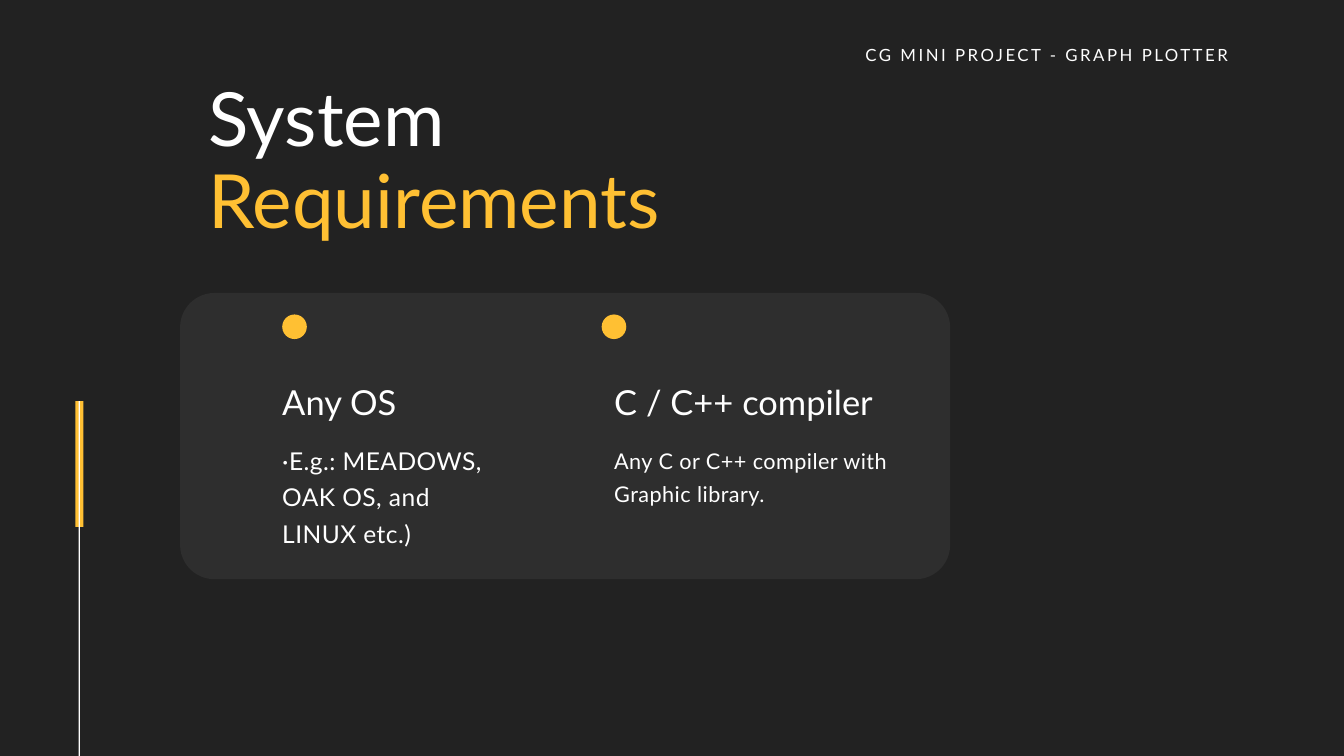
from pptx import Presentation
from pptx.dml.color import RGBColor
from pptx.enum.shapes import MSO_SHAPE
from pptx.enum.text import MSO_ANCHOR, MSO_AUTO_SIZE, PP_ALIGN
from pptx.oxml.xmlchemy import OxmlElement
from pptx.util import Inches, Pt

RECTANGLE, ROUNDED, OVAL = MSO_SHAPE.RECTANGLE, MSO_SHAPE.ROUNDED_RECTANGLE, MSO_SHAPE.OVAL
TOP, NO_FIT = MSO_ANCHOR.TOP, MSO_AUTO_SIZE.NONE
LEFT, RIGHT = PP_ALIGN.LEFT, PP_ALIGN.RIGHT

BACKGROUND = RGBColor(0x22, 0x22, 0x22)
PANEL = RGBColor(0x2E, 0x2E, 0x2E)
YELLOW = RGBColor(0xFF, 0xC0, 0x33)
WHITE = RGBColor(0xFF, 0xFF, 0xFF)

COLUMNS, ROWS = 100, 56.25
CELL = Inches(0.2)

presentation = Presentation()
presentation.slide_width = int(COLUMNS * CELL)
presentation.slide_height = int(ROWS * CELL)
slide = presentation.slides.add_slide(presentation.slide_layouts.get_by_name("Comparison"))
slide.background.fill.solid()
slide.background.fill.fore_color.rgb = BACKGROUND


def add_block(kind, box, color):
    shape = slide.shapes.add_shape(kind, *(int(cells * CELL) for cells in box))
    shape.shadow.inherit = False
    shape.fill.solid()
    shape.fill.fore_color.rgb = color
    shape.line.fill.background()
    return shape


def write_text(shape, box, runs, size, line_height, spacing=0, alignment=LEFT):
    slide.shapes._spTree.append(shape._element)
    for name, cells in zip(("left", "top", "width", "height"), box):
        setattr(shape, name, int(cells * CELL))
    frame_format = {"margin_left": 0, "margin_top": 0, "margin_right": 0, "margin_bottom": 0,
                    "word_wrap": True, "auto_size": NO_FIT, "vertical_anchor": TOP}
    for name, value in frame_format.items():
        setattr(shape.text_frame, name, value)
    paragraph = shape.text_frame.paragraphs[0]
    properties = paragraph._p.get_or_add_pPr()
    properties.set("marL", "0")
    properties.set("indent", "0")
    properties.append(OxmlElement("a:buNone"))
    paragraph_format = {"alignment": alignment, "line_spacing": Pt(line_height),
                        "space_before": Pt(0), "space_after": Pt(0)}
    for name, value in paragraph_format.items():
        setattr(paragraph, name, value)
    for text, color in runs:
        run = paragraph.add_run()
        run.text = text
        for name, value in {"name": "Lato", "size": Pt(size), "bold": False}.items():
            setattr(run.font, name, value)
        run.font.color.rgb = color
        run._r.get_or_add_rPr().set("spc", str(int(spacing * 100)))


RAIL_TOP = 29.85
add_block(RECTANGLE, (5.6, RAIL_TOP, 0.6, 9.35), YELLOW)
add_block(RECTANGLE, (5.85, RAIL_TOP, 0.1, ROWS - RAIL_TOP), WHITE)
panel = add_block(ROUNDED, (13.4, 21.8, 57.3, 21.3), PANEL)
panel.adjustments[0] = 0.12

title, *requirement_boxes = slide.placeholders
write_text(title, (15.5, 5.9, 47.55, 12.3),
           [("System ", WHITE), ("Requirements", YELLOW)], 80, 88)

requirements = [
    (21, 21, 16.85, "Any OS", "·E.g.: MEADOWS, OAK OS, and LINUX etc.)", 32.6, 26.3, 39.5),
    (45.7, 44.77, 20.55, "C / C++ compiler", "Any C or C++ compiler with Graphic library.", 32.85, 23.2, 34.9),
]
for index, (left, dot_left, width, heading, detail, top, size, line_height) in enumerate(requirements):
    heading_box, detail_box = requirement_boxes[2 * index:2 * index + 2]
    add_block(OVAL, (dot_left, 23.4, 1.83, 1.83), YELLOW)
    write_text(heading_box, (left, 27.85, width, 3.3), [(heading, WHITE)], 36.9, 51.6)
    write_text(detail_box, (left, top, width, 8.05), [(detail, WHITE)], size, line_height, 0.5)

project_label = slide.shapes.add_textbox(0, 0, CELL, CELL)
write_text(project_label, (64.3, 3.05, 27.1, 1.65),
           [("CG MINI PROJECT - GRAPH PLOTTER", WHITE)], 18, 25.2, 2.7, RIGHT)

presentation.save("out.pptx")
